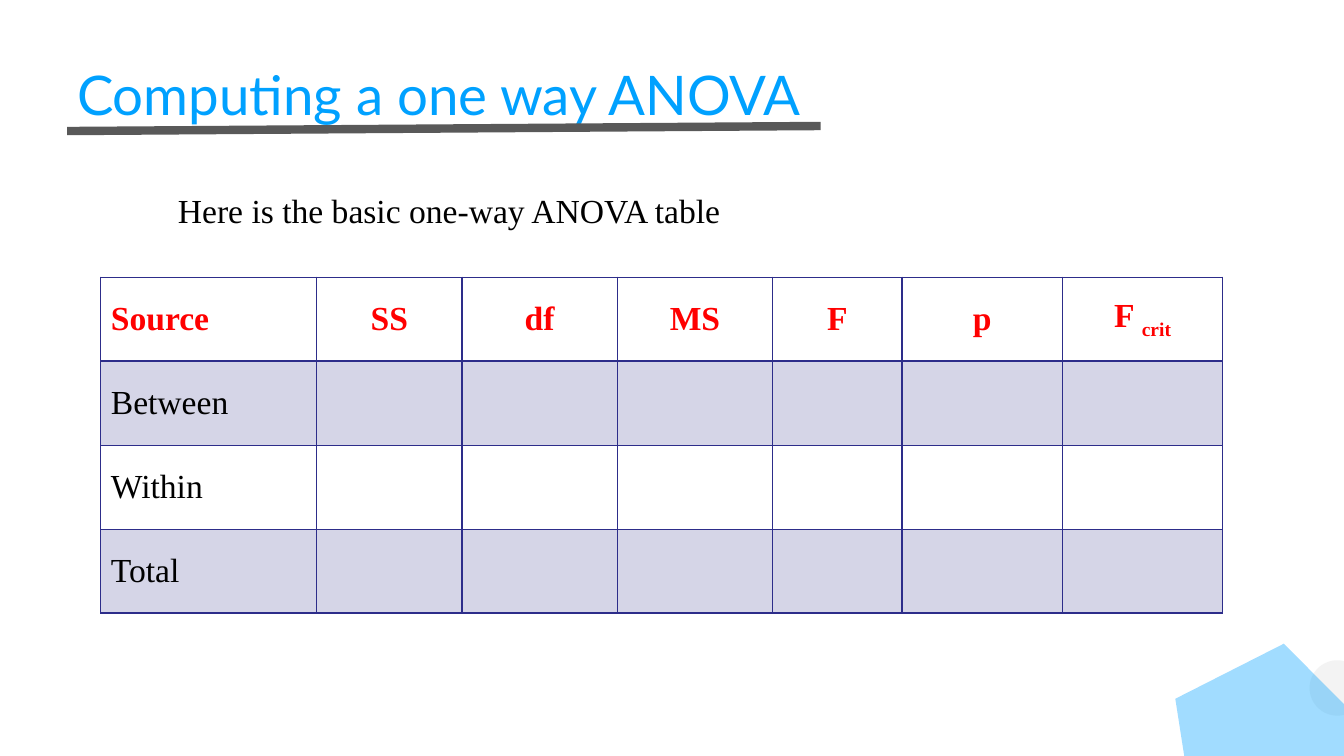
from lxml import etree
from pptx import Presentation
from pptx import util as u
from pptx.dml.color import RGBColor
from pptx.enum import shapes, text
from pptx.oxml.ns import qn

THEME = {
    "sky": "00A1FF", "ink": "000000", "red": "FF0000", "navy": "2D2D8A",
    "grey": "595959", "pale": "F3F3F3",
    "head_font": "Lato", "body_font": "Times New Roman",
    "head_size": 39, "body_size": 24,
}
UNIT = u.Inches(1) // 12  # the slide is a grid of 160 columns by 90 rows


def grid(*cells):
    return [round(cell * UNIT) for cell in cells]


def paint(owner, element, colour, opacity=100):
    """Fill a shape or table cell with a colour at an opacity in percent."""
    owner.fill.solid()
    owner.fill.fore_color.rgb = RGBColor.from_string(THEME[colour])
    if opacity < 100:
        tone = next(element.iter(qn("a:srgbClr")))
        etree.SubElement(tone, qn("a:alpha"), val=str(opacity * 1000))


deck = Presentation()
deck.slide_width, deck.slide_height = grid(160, 90)
slide = deck.slides.add_slide(deck.slide_layouts[6])

# Heading and introduction
for words, area, role, colour, anchor in [
    ("Computing a one way ANOVA", (8, 3.6, 144, 15), "head", "sky", text.MSO_ANCHOR.MIDDLE),
    ("Here is the basic one-way ANOVA table", (20, 22, 90, 6), "body", "ink", text.MSO_ANCHOR.TOP),
]:
    frame = slide.shapes.add_textbox(*grid(*area)).text_frame
    frame.word_wrap = True
    frame.vertical_anchor = anchor
    run = frame.paragraphs[0].add_run()
    run.text = words
    run.font.name = THEME[role + "_font"]
    run.font.size = u.Pt(THEME[role + "_size"])
    run.font.color.rgb = RGBColor.from_string(THEME[colour])

# ANOVA table: each cell is a list of runs, the second run being a subscript
headings = [["Source"], ["SS"], ["df"], ["MS"], ["F"], ["p"], ["F ", "crit"]]
sources = ["Between", "Within", "Total"]
rows = [headings] + [[[source]] + [[]] * (len(headings) - 1) for source in sources]
widths = [25.7, 17.3, 18.5, 18.5, 15.4, 19.1, 19.1]
row_height = 10

anova = slide.shapes.add_table(
    len(rows), len(widths), *grid(12, 33, sum(widths), row_height * len(rows))
).table
anova.first_row = anova.horz_banding = False
for column, width in zip(anova.columns, widths):
    column.width = grid(width)[0]

for r, row in enumerate(rows):
    anova.rows[r].height = grid(row_height)[0]
    for c, parts in enumerate(row):
        cell = anova.cell(r, c)
        cell.vertical_anchor = text.MSO_ANCHOR.MIDDLE
        line = cell.text_frame.paragraphs[0]
        line.alignment = text.PP_ALIGN.CENTER if c else text.PP_ALIGN.LEFT
        for level, part in enumerate(parts):
            run = line.add_run()
            run.text = part
            run.font.name = THEME["body_font"]
            run.font.size = u.Pt(THEME["body_size"])
            run.font.bold = r == 0
            run.font.color.rgb = RGBColor.from_string(THEME["ink" if r else "red"])
            if level:
                run.font._element.set("baseline", "-25000")

        properties = cell._tc.get_or_add_tcPr()
        heavy_side = {0: "B", 1: "T"}.get(r)
        for side in "LRTB":
            points = 2 if side == heavy_side else 1
            border = etree.SubElement(properties, qn("a:ln" + side), w=str(u.Pt(points)))
            stroke = etree.SubElement(border, qn("a:solidFill"))
            etree.SubElement(stroke, qn("a:srgbClr"), val=THEME["navy"])
        cell.fill.background()
        if r % 2:
            cell.fill.solid()
            cell.fill.fore_color.rgb = RGBColor.from_string(THEME["navy"])
            tone = properties.find(qn("a:solidFill")).find(qn("a:srgbClr"))
            etree.SubElement(tone, qn("a:alpha"), val="20000")

# Corner decoration
for kind, area, turn, colour, opacity in [
    (shapes.MSO_SHAPE.OVAL, (155.9, 78.6, 6.6, 6.6), 124, "pale", 100),
    (shapes.MSO_SHAPE.REGULAR_PENTAGON, (140.3, 77.5, 23.5, 22.3), 81.1, "sky", 37),
]:
    corner = slide.shapes.add_shape(kind, *grid(*area))
    corner.rotation = turn
    corner.shadow.inherit = False
    corner.line.fill.background()
    paint(corner, corner._element, colour, opacity)

# Rule under the heading
underline = slide.shapes.add_connector(
    shapes.MSO_CONNECTOR.STRAIGHT, *grid(8, 15.6, 97.7, 15)
)
underline.line.width = u.Pt(6)
underline.line.color.rgb = RGBColor.from_string(THEME["grey"])
etree.SubElement(underline._element.spPr, qn("a:effectLst"))

deck.save("out.pptx")
